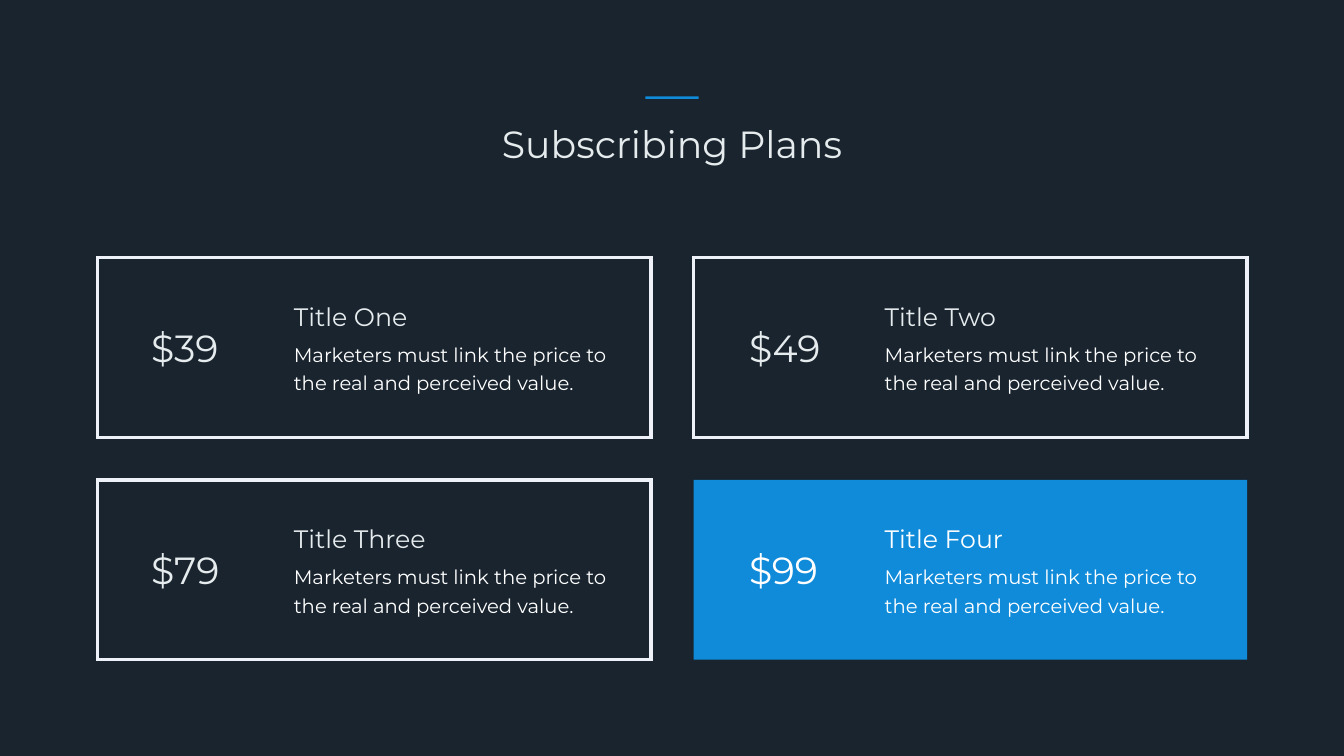
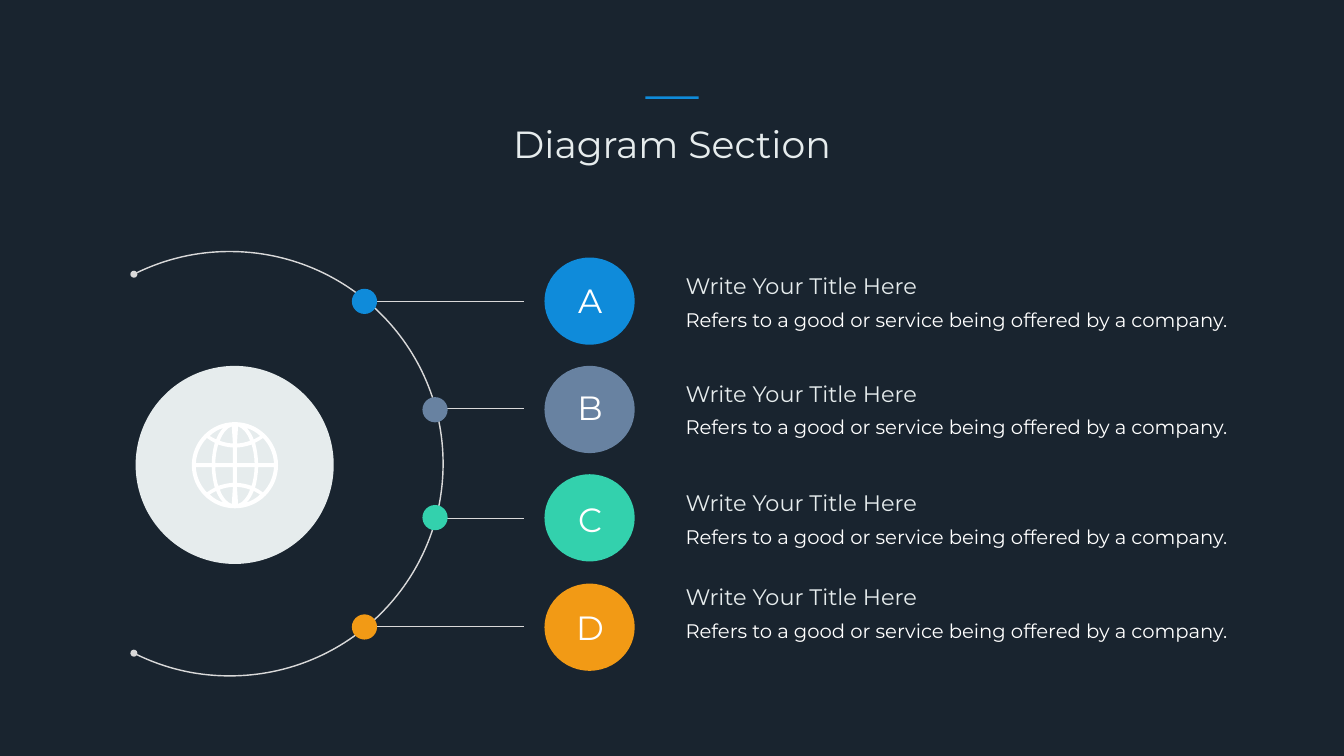
from dataclasses import dataclass
from itertools import pairwise, product
from math import asin, cos, radians, sin, tan

from lxml.etree import SubElement
from pptx import Presentation
from pptx.dml.color import RGBColor
from pptx.enum.shapes import MSO_CONNECTOR, MSO_SHAPE
from pptx.enum.text import MSO_ANCHOR, MSO_AUTO_SIZE, PP_ALIGN
from pptx.oxml.ns import qn
from pptx.presentation import Presentation as Deck
from pptx.shapes.autoshape import Shape
from pptx.slide import Slide
from pptx.util import Inches, Pt

# Shared style
FONT = "Montserrat"
NIGHT, BLUE, SLATE, GREEN, ORANGE = "19242F", "0F8BDA", "6882A1", "33D1AD", "F29A15"
PALE, WHITE, BORDER, LINE = "E6ECED", "FFFFFF", "EFF1F8", "D9D9D9"
SLIDE_WIDTH, SLIDE_HEIGHT = 26.66, 15

Point = tuple[float, float]
Segment = list[Point]  # one point for a line, three for a cubic curve
Contour = list[Segment]  # the first segment is the starting point


@dataclass
class TextStyle:
    size: float
    color: str = PALE
    align: PP_ALIGN = PP_ALIGN.LEFT
    line_spacing: float | None = None
    wrap: bool = True


@dataclass
class Plan:
    price: str
    title: str
    row: int
    column: int
    highlighted: bool = False


@dataclass
class Column:
    card_left: float
    price_left: float
    text_left: float


@dataclass
class Step:
    letter: str
    color: str
    dot_left: float
    dot_top: float
    line_start: float
    line_y: float
    circle_top: float
    letter_top: float
    text_top: float


TITLE = TextStyle(54, align=PP_ALIGN.CENTER)
LETTER = TextStyle(48, WHITE, PP_ALIGN.CENTER)
STEP_HEADING = TextStyle(32, wrap=False)
STEP_BODY = TextStyle(28, WHITE, line_spacing=43)
PLAN_BODY = TextStyle(28, WHITE, line_spacing=40.8)

CARD_WIDTH, CARD_HEIGHT = 10.98, 3.57
ROW_TOPS = [5.11, 9.52]
COLUMNS = [Column(1.93, 2.9, 5.73), Column(13.76, 14.76, 17.45)]
PLAN_TEXT = "Marketers must link the price to the real and perceived value."
PLANS = [
    Plan("$39", "Title One", 0, 0),
    Plan("$49", "Title Two", 0, 1),
    Plan("$79", "Title Three", 1, 0),
    Plan("$99", "Title Four", 1, 1, highlighted=True),
]

STEP_TITLE = "Write Your Title Here"
STEP_TEXT = "Refers to a good or service being offered by a company."
STEPS = [
    Step("A", BLUE, 6.98, 5.73, 7.48, 5.98, 5.11, 5.51, 5.36),
    Step("B", SLATE, 8.38, 7.88, 8.79, 8.1, 7.26, 7.62, 7.49),
    Step("C", GREEN, 8.38, 10.02, 8.79, 10.28, 9.41, 9.85, 9.66),
    Step("D", ORANGE, 6.98, 12.19, 7.48, 12.43, 11.58, 11.99, 11.53),
]


# Drawing helpers
def rgb(color: str) -> RGBColor:
    return RGBColor.from_string(color)


def place(shape: Shape, left: float, top: float, width: float, height: float) -> None:
    shape.left, shape.top = Inches(left), Inches(top)
    shape.width, shape.height = Inches(width), Inches(height)


def paint(shape: Shape, fill: str | None = None, line: str | None = None,
          line_width: float = 1) -> None:
    shape.shadow.inherit = False
    if fill:
        shape.fill.solid()
        shape.fill.fore_color.rgb = rgb(fill)
    else:
        shape.fill.background()
    if line:
        shape.line.color.rgb = rgb(line)
        shape.line.width = Pt(line_width)
        SubElement(shape._element.spPr.find(qn("a:ln")), qn("a:miter"), lim="800000")
    else:
        shape.line.fill.background()


def add_box(slide: Slide, kind: MSO_SHAPE, left: float, top: float, width: float,
            height: float, fill: str | None = None, line: str | None = None,
            line_width: float = 1) -> None:
    shape = slide.shapes.add_shape(
        kind, Inches(left), Inches(top), Inches(width), Inches(height))
    paint(shape, fill, line, line_width)


def write(shape: Shape, text: str, style: TextStyle) -> None:
    frame = shape.text_frame
    frame.text = text
    frame.word_wrap = style.wrap
    frame.auto_size = MSO_AUTO_SIZE.SHAPE_TO_FIT_TEXT
    frame.vertical_anchor = MSO_ANCHOR.TOP
    paragraph = frame.paragraphs[0]
    paragraph.alignment = style.align
    if style.line_spacing:
        paragraph.line_spacing = Pt(style.line_spacing)
    paragraph.font.name = FONT
    paragraph.font.size = Pt(style.size)
    paragraph.font.color.rgb = rgb(style.color)


def add_text(slide: Slide, text: str, left: float, top: float, width: float,
             height: float, style: TextStyle) -> None:
    box = slide.shapes.add_textbox(
        Inches(left), Inches(top), Inches(width), Inches(height))
    write(box, text, style)


def add_outline(slide: Slide, center: Point, contours: list[Contour], close: bool) -> Shape:
    def locate(point: Point) -> Point:
        return Inches(center[0] + point[0]), Inches(center[1] + point[1])

    builder = slide.shapes.build_freeform(*locate(contours[0][0][0]))
    for index, (start, *segments) in enumerate(contours):
        if index:
            builder.move_to(*locate(start[0]))
        builder.add_line_segments([locate(segment[-1]) for segment in segments], close=close)
    shape = builder.convert_to_shape()

    # Turn the segments that have control points into cubic curves
    segments = [segment for contour in contours for segment in contour[1:]]
    for element, segment in zip(list(shape._element.iter(qn("a:lnTo"))), segments):
        if len(segment) == 3:
            element.tag = qn("a:cubicBezTo")
            for index, control in enumerate(segment[:2]):
                x, y = locate(control)
                corner = SubElement(element, qn("a:pt"),
                                    x=str(x - shape.left), y=str(y - shape.top))
                element.insert(index, corner)
    return shape


def add_title_slide(presentation: Deck, title: str, width: float) -> Slide:
    slide = presentation.slides.add_slide(presentation.slide_layouts[5])
    place(slide.shapes.title, (SLIDE_WIDTH - width) / 2, 2.34, width, 1.01)
    write(slide.shapes.title, title, TITLE)
    add_box(slide, MSO_SHAPE.RECTANGLE, 12.8, 1.91, 1.06, 0.05, BLUE)
    return slide


# Pricing cards
def add_plan(slide: Slide, plan: Plan) -> None:
    column, top = COLUMNS[plan.column], ROW_TOPS[plan.row]
    color = WHITE if plan.highlighted else PALE
    fill, line = (BLUE, None) if plan.highlighted else (None, BORDER)
    add_box(slide, MSO_SHAPE.RECTANGLE, column.card_left, top,
            CARD_WIDTH, CARD_HEIGHT, fill, line, 5)
    add_text(slide, PLAN_TEXT, column.text_left, top + 1.54, 6.4, 1.2, PLAN_BODY)
    add_text(slide, plan.title, column.text_left, top + 0.82, 5.89, 0.71,
             TextStyle(36, color))
    add_text(slide, plan.price, column.price_left, top + 1.28, 1.95, 1.01,
             TextStyle(54, color))


# Curves around a center
def arc(radius_x: float, radius_y: float, start: float, end: float) -> Segment:
    reach = 4 / 3 * tan((end - start) / 4)
    (x0, y0), (x1, y1) = [(cos(a), sin(a)) for a in (start, end)]
    unit = [(x0 - reach * y0, y0 + reach * x0), (x1 + reach * y1, y1 - reach * x1), (x1, y1)]
    return [(radius_x * x, radius_y * y) for x, y in unit]


def arcs(radius_x: float, radius_y: float, degrees: list[float]) -> Contour:
    angles = [radians(degree) for degree in degrees]
    start = (radius_x * cos(angles[0]), radius_y * sin(angles[0]))
    return [[start]] + [arc(radius_x, radius_y, a, b) for a, b in pairwise(angles)]


def meridian(radius_x: float, radius_y: float, start: float, end: float) -> Segment:
    return arc(radius_x, radius_y, asin(start / radius_y), asin(end / radius_y))


def parallel(height: float, start: float, end: float) -> Segment:
    bend, third = 0.6, (end - start) / 3
    y0, y1 = height + bend * start ** 2, height + bend * end ** 2
    return [(start + third, y0 + 2 * bend * start * third),
            (end - third, y1 - 2 * bend * end * third), (end, y1)]


def add_orbit(slide: Slide) -> None:
    orbit = add_outline(slide, (4.56, 9.2),
                        [arcs(4.23, 4.21, [116.75, 90, 0, -90, -116.75])], close=False)
    paint(orbit, line=LINE, line_width=2)
    for end in ("a:headEnd", "a:tailEnd"):
        SubElement(orbit._element.spPr.find(qn("a:ln")), qn(end),
                   type="oval", w="lg", len="lg")


def add_globe(slide: Slide) -> None:
    radius, rim = 0.855, 0.775
    # Windows of one quadrant, measured from the globe's center
    windows = [
        [[(0.04, 0.04)], [(0.39, 0.04)], meridian(0.39, 0.78, 0.04, 0.41),
         parallel(0.35, 0.33, 0.04)],
        [[(0.04, 0.43)], parallel(0.43, 0.04, 0.30), meridian(0.39, 0.78, 0.48, 0.77)],
        [[(rim, 0.04)], meridian(rim, rim, 0.04, 0.54), parallel(0.35, 0.56, 0.40),
         meridian(0.46, 0.87, 0.43, 0.04)],
        [[(0.37, 0.51)], parallel(0.43, 0.37, 0.50), meridian(rim, rim, 0.59, 0.74),
         meridian(0.46, 0.87, 0.74, 0.51)],
    ]
    contours = [arcs(radius, radius, [0, 90, 180, 270, 360])]
    for window, side, half in product(windows, (1, -1), (1, -1)):
        contours.append([[(side * x, half * y) for x, y in segment] for segment in window])
    paint(add_outline(slide, (4.66, 9.23), contours, close=True), WHITE)


# Diagram steps
def add_step_line(slide: Slide, step: Step) -> None:
    connector = slide.shapes.add_connector(
        MSO_CONNECTOR.STRAIGHT, Inches(step.line_start), Inches(step.line_y),
        Inches(10.39), Inches(step.line_y))
    connector.line.color.rgb = rgb(LINE)
    connector.line.width = Pt(0.5)
    SubElement(connector._element.spPr, qn("a:effectLst"))


def add_step(slide: Slide, step: Step) -> None:
    add_step_line(slide, step)
    add_box(slide, MSO_SHAPE.OVAL, step.dot_left, step.dot_top, 0.5, 0.5, step.color)
    add_box(slide, MSO_SHAPE.OVAL, 10.8, step.circle_top, 1.79, 1.73, step.color)
    add_text(slide, step.letter, 11, step.letter_top, 1.41, 0.91, LETTER)
    add_text(slide, STEP_TITLE, 13.5, step.text_top, 4.9, 0.64, STEP_HEADING)
    add_text(slide, STEP_TEXT, 13.5, step.text_top + 0.57, 11.42, 0.65, STEP_BODY)


def main() -> None:
    presentation = Presentation()
    presentation.slide_width = Inches(SLIDE_WIDTH)
    presentation.slide_height = Inches(SLIDE_HEIGHT)
    background = presentation.slide_master.background.fill
    background.solid()
    background.fore_color.rgb = rgb(NIGHT)

    # Slide 1: pricing
    pricing = add_title_slide(presentation, "Subscribing Plans", 8.23)
    for plan in PLANS:
        add_plan(pricing, plan)

    # Slide 2: diagram
    diagram = add_title_slide(presentation, "Diagram Section", 10.18)
    add_orbit(diagram)
    for step in STEPS:
        add_step(diagram, step)
    add_box(diagram, MSO_SHAPE.OVAL, 2.69, 7.26, 3.93, 3.93, PALE)
    add_globe(diagram)

    presentation.save("out.pptx")


if __name__ == "__main__":
    main()
